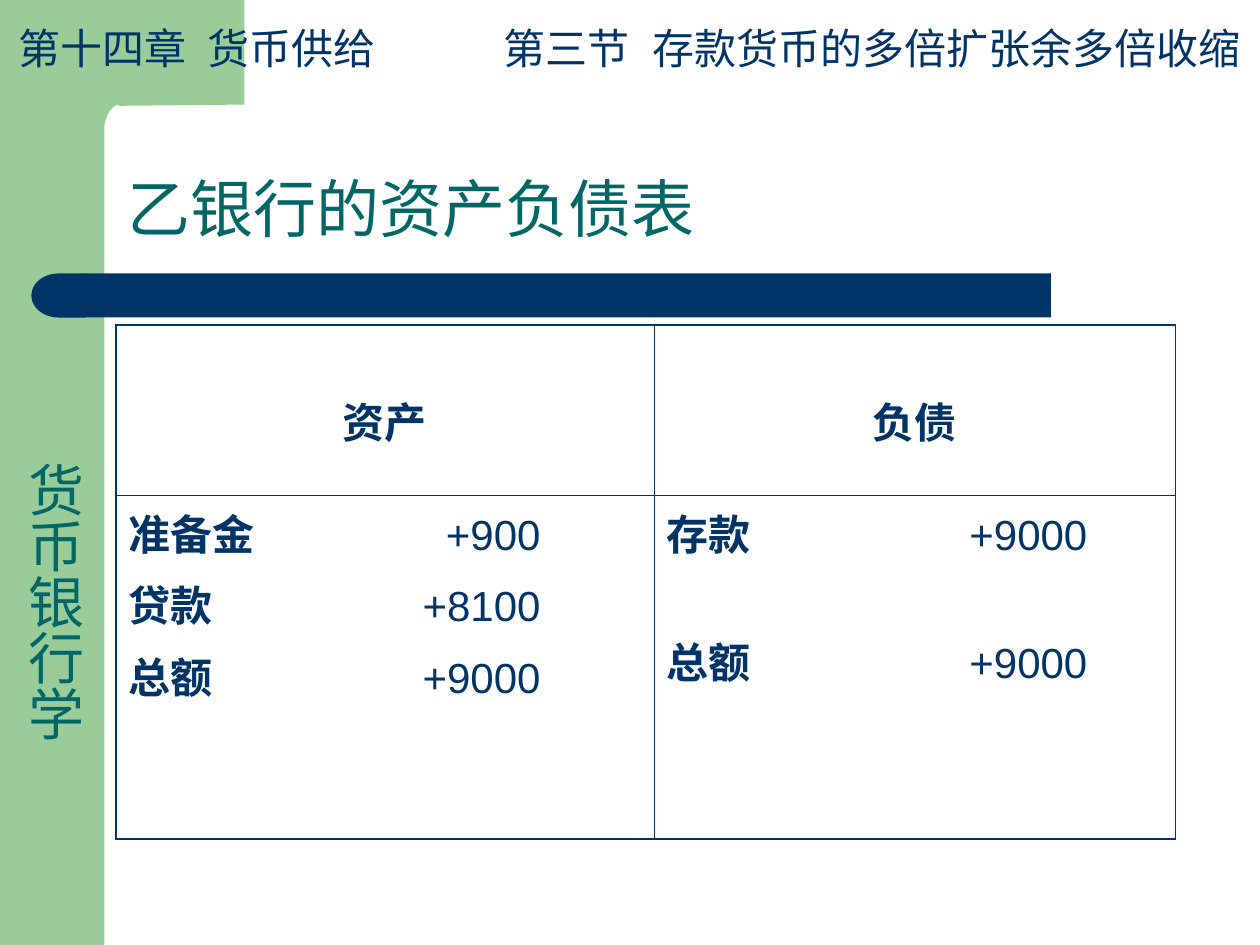
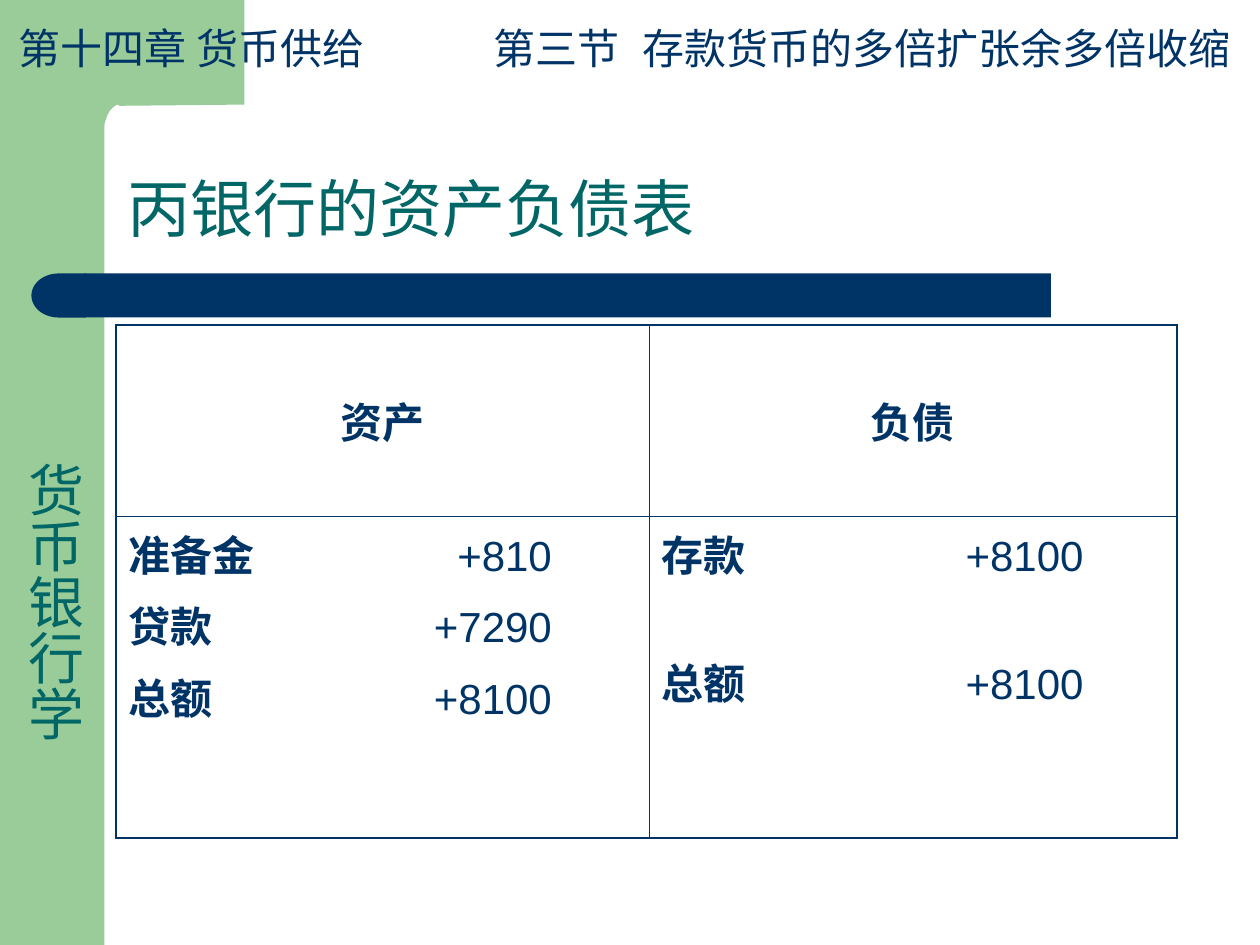
from lxml import etree
from pptx import Presentation
from pptx.dml.color import RGBColor
from pptx.enum.shapes import MSO_SHAPE
from pptx.enum.text import MSO_ANCHOR, PP_ALIGN
from pptx.oxml.ns import qn
from pptx.util import Inches, Pt

RECTANGLE = MSO_SHAPE.RECTANGLE
DELAY = MSO_SHAPE.FLOWCHART_DELAY
TOP, BOTTOM = MSO_ANCHOR.TOP, MSO_ANCHOR.BOTTOM
LEFT, CENTER = PP_ALIGN.LEFT, PP_ALIGN.CENTER

GREEN, NAVY, TEAL = "99CC99", "003366", "006666"
FONT = "Arial"
COURSE = "货币银行学"
CHAPTER = ("第十四章", "货币供给")
SECTION = "第三节\t存款货币的多倍扩张余多倍收缩"
OUTER_LINE, INNER_LINE = 1.08, 0.45
ROW_GAP, SKIPPED_ROW_GAP = 6, 38.5

# Outline of the green corner with its rounded inner edge
CORNER = [
    (0.67, 0), (1.94, 0), (1.94, 0.83), (0.95, 0.84), (0.93, 0.83),
    (0.9, 0.85), (0.87, 0.88), (0.85, 0.92), (0.83, 0.98), (0.82, 1.04),
    (0.81, 1.1), (0.81, 1.28), (0.67, 1.28),
]

BALANCE_SHEETS = [
    {
        "title": "乙银行的资产负债表",
        "chapter": "\t".join(CHAPTER),
        "section_left": 3.9,
        "columns": [4.27, 4.14],
        "rows": [1.35, 2.73],
        "amount_tabs": [3.27, 3.34],
        "assets": [("准备金", "+900"), ("贷款", "+8100"), ("总额", "+9000")],
        "liabilities": [("存款", "+9000"), ("总额", "+9000")],
    },
    {
        "title": "丙银行的资产负债表",
        "chapter": " ".join(CHAPTER),
        "section_left": 3.82,
        "columns": [4.23, 4.19],
        "rows": [1.52, 2.55],
        "amount_tabs": [3.36, 3.35],
        "assets": [("准备金", "+810"), ("贷款", "+7290"), ("总额", "+8100")],
        "liabilities": [("存款", "+8100"), ("总额", "+8100")],
    },
]


def color(hex_string):
    return RGBColor.from_string(hex_string)


def set_tab(paragraph, position, alignment):
    """Add one tab stop; alignment is "l" or "r"."""
    tabs = etree.SubElement(paragraph._p.get_or_add_pPr(), qn("a:tabLst"))
    etree.SubElement(tabs, qn("a:tab"), pos=str(Inches(position)), algn=alignment)


def set_border(cell, side, width):
    """Draw one side ("L", "R", "T" or "B") of a cell."""
    line = etree.SubElement(cell._tc.get_or_add_tcPr(), qn("a:ln" + side), w=str(Pt(width)))
    fill = etree.SubElement(line, qn("a:solidFill"))
    etree.SubElement(fill, qn("a:srgbClr"), val=NAVY)


class Deck:
    """Holds the presentation, its style and the current slide."""

    def __init__(self):
        self.presentation = Presentation()
        self.presentation.slide_width = Inches(10)
        self.presentation.slide_height = Inches(7.5)
        self.slide = None

    def new_slide(self):
        self.slide = self.presentation.slides.add_slide(self.presentation.slide_layouts[6])
        self.shape(RECTANGLE, 0, 0, 0.83, 7.5, GREEN)
        self.corner()
        self.shape(RECTANGLE, 0.67, 2.17, 7.67, 0.35, NAVY)
        bar_end = self.shape(DELAY, 0.25, 2.17, 0.43, 0.35, NAVY)
        bar_end.element.spPr.find(qn("a:xfrm")).set("flipH", "1")

    def paint(self, shape, fill):
        shape.shadow.inherit = False
        shape.fill.solid()
        shape.fill.fore_color.rgb = color(fill)
        shape.line.fill.background()

    def shape(self, kind, left, top, width, height, fill):
        shape = self.slide.shapes.add_shape(
            kind, Inches(left), Inches(top), Inches(width), Inches(height))
        self.paint(shape, fill)
        return shape

    def corner(self):
        points = [(Inches(x), Inches(y)) for x, y in CORNER]
        builder = self.slide.shapes.build_freeform(*points[0])
        builder.add_line_segments(points[1:], close=True)
        self.paint(builder.convert_to_shape(), GREEN)

    def run(self, paragraph, text, size, text_color, bold=False):
        run = paragraph.add_run()
        run.text = text
        run.font.name = FONT
        run.font.size = Pt(size)
        run.font.bold = bold
        run.font.color.rgb = color(text_color)

    def text(self, left, top, width, height, text, size, text_color, anchor=TOP, tab=None):
        """Add a one-paragraph text box and return its text frame."""
        box = self.slide.shapes.add_textbox(
            Inches(left), Inches(top), Inches(width), Inches(height))
        frame = box.text_frame
        frame.word_wrap = True
        frame.vertical_anchor = anchor
        frame.margin_right = 0
        paragraph = frame.paragraphs[0]
        paragraph.alignment = LEFT
        if tab:
            set_tab(paragraph, tab, "l")
        self.run(paragraph, text, size, text_color)
        return frame

    def course_name(self):
        """Write the course name downwards in the green side band."""
        frame = self.text(0.02, 0.13, 0.73, 7.37, COURSE, 32, TEAL)
        frame.margin_left = frame.margin_right = Inches(0.05)
        frame.margin_top = frame.margin_bottom = Inches(0.1)
        frame._txBody.bodyPr.set("vert", "eaVert")
        properties = frame.paragraphs[0]._p.get_or_add_pPr()
        properties.set("marL", str(Inches(3.44)))
        properties.set("indent", "0")

    def headings(self, sheet):
        title = self.text(0.91, 0.91, 8.51, 1.09, sheet["title"], 36, TEAL, BOTTOM)
        title.paragraphs[0].line_spacing = 0.9
        self.course_name()
        left = sheet["section_left"]
        self.text(left, 0.13, 9.96 - left, 0.5, SECTION, 24, NAVY, tab=1.18)
        self.text(0.05, 0.13, left - 0.13, 0.5, sheet["chapter"], 24, NAVY, tab=1.5)

    def header_cell(self, cell, text):
        cell.margin_top = Inches(0.51)
        paragraph = cell.text_frame.paragraphs[0]
        paragraph.alignment = CENTER
        self.run(paragraph, text, 24, NAVY, bold=True)

    def entries_cell(self, cell, entries, amount_tab, gap):
        for index, (label, amount) in enumerate(entries):
            frame = cell.text_frame
            paragraph = frame.add_paragraph() if index else frame.paragraphs[0]
            set_tab(paragraph, amount_tab, "r")
            if index:
                paragraph.space_before = Pt(gap)
            self.run(paragraph, label + "\t", 24, NAVY, bold=True)
            self.run(paragraph, amount, 24, NAVY)

    def balance_table(self, sheet):
        widths, heights = sheet["columns"], sheet["rows"]
        table = self.slide.shapes.add_table(
            2, 2, Inches(0.92), Inches(2.58),
            Inches(sum(widths)), Inches(sum(heights))).table
        table.first_row = table.horz_banding = False
        for column, width in zip(table.columns, widths):
            column.width = Inches(width)
        for row, height in zip(table.rows, heights):
            row.height = Inches(height)
        for row in range(2):
            for column in range(2):
                cell = table.cell(row, column)
                outer_sides = "LR"[column] + "TB"[row]
                for side in "LRTB":
                    set_border(cell, side, OUTER_LINE if side in outer_sides else INNER_LINE)
                cell.fill.background()
        sides = [("资产", sheet["assets"], ROW_GAP),
                 ("负债", sheet["liabilities"], SKIPPED_ROW_GAP)]
        for column, (heading, entries, gap) in enumerate(sides):
            self.header_cell(table.cell(0, column), heading)
            self.entries_cell(table.cell(1, column), entries, sheet["amount_tabs"][column], gap)


def main():
    deck = Deck()
    for sheet in BALANCE_SHEETS:
        deck.new_slide()
        deck.headings(sheet)
        deck.balance_table(sheet)
    deck.presentation.save("out.pptx")


if __name__ == "__main__":
    main()
